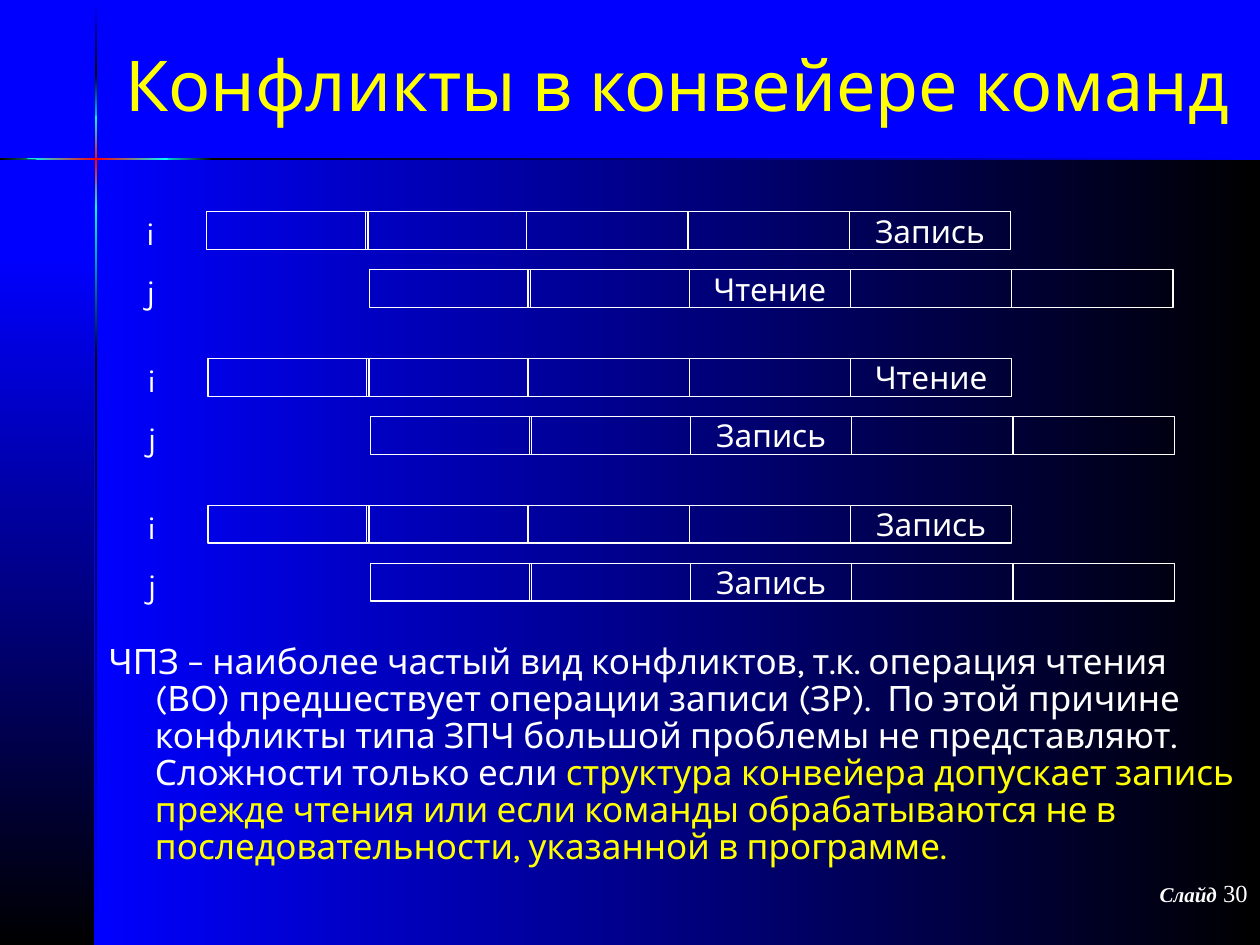
from copy import deepcopy

from lxml import etree
from pptx import Presentation
from pptx.dml.color import RGBColor
from pptx.enum.shapes import MSO_SHAPE
from pptx.enum.text import MSO_ANCHOR, MSO_AUTO_SIZE, PP_ALIGN
from pptx.oxml.ns import qn
from pptx.util import Inches, Pt

RECTANGLE = MSO_SHAPE.RECTANGLE
MIDDLE, TOP = MSO_ANCHOR.MIDDLE, MSO_ANCHOR.TOP
FIXED, GROW = MSO_AUTO_SIZE.NONE, MSO_AUTO_SIZE.SHAPE_TO_FIT_TEXT
LEFT, CENTER, RIGHT = PP_ALIGN.LEFT, PP_ALIGN.CENTER, PP_ALIGN.RIGHT

COLORS = {"blue": "0000FF", "black": "000000", "cyan": "00FFFF",
          "red": "FF0000", "yellow": "FFFF00", "white": "FFFFFF"}

TITLE = "Конфликты в конвейере команд"
EXPLANATION = [
    ("ЧПЗ – наиболее частый вид конфликтов, т.к. операция чтения (ВО) "
     "предшествует операции записи (ЗР).  По этой причине конфликты типа ЗПЧ "
     "большой проблемы не представляют. Сложности только если ", "white"),
    ("структура конвейера допускает запись прежде чтения или если команды "
     "обрабатываются не в последовательности, указанной в программе.", "yellow"),
]
CONFLICTS = [
    (1.64, "Запись", "Чтение"),
    (1.65, "Чтение", "Запись"),
    (1.65, "Запись", "Запись"),
]
FOOTER = [("Слайд", {"size": Pt(12), "bold": True, "italic": True}),
          (" 30", {"size": Pt(14), "bold": False, "italic": False})]

DOWN, LEFTWARD = 270, 180
BANDS = [
    (0.75, 1.25, 9.25, 6.25, ("black", "blue"), LEFTWARD),
    (0, 2.02, 0.75, 5.48, ("blue", "black"), DOWN),
    (0.75, 0.01, 0.02, 0.57, ("blue", "black"), DOWN),
    (0.75, 2.82, 0.02, 4.68, ("black", "blue"), DOWN),
    (0.75, 1.63, 0.02, 1.22, ("cyan", "black"), DOWN),
    (0.75, 0.58, 0.02, 0.44, ("black", "cyan"), DOWN),
    (0.75, 0.92, 0.02, 0.73, ("cyan", "red", "cyan"), DOWN),
    (0, 1.25, 0.61, 0.02, ("cyan", "black"), LEFTWARD),
    (1.67, 1.25, 8.33, 0.02, ("blue", "black"), LEFTWARD),
    (1.25, 1.25, 0.44, 0.02, ("black", "cyan"), LEFTWARD),
]
GLINT = [(0.21, 1.26), (0.6, 1.27), (1.33, 1.27), (1.33, 1.25), (0.6, 1.25)]

FIRST_ROW, CONFLICT_STEP, ROW_STEP = 1.68, 1.165, 0.46
STAGE_LEFTS = [0, 1.26, 2.54, 3.82, 5.1]
STAGE_WIDTH, STAGE_HEIGHT, STAGE_DELAY = 1.28, 0.3, 1.29
ROWS = [("i", 0.25, 4), ("j", 0.27, 2)]


def rgb(name):
    return RGBColor.from_string(COLORS[name])


def apply(target, values):
    for attribute, value in values.items():
        setattr(target, attribute, value)


def place(shape, *box):
    apply(shape, dict(zip(("left", "top", "width", "height"), map(Inches, box))))


def add_run(paragraph, text, color, **font_values):
    run = paragraph.add_run()
    run.text = text
    apply(run.font, {"name": "Karla", **font_values})
    run.font.color.rgb = rgb(color)


def paint_gradient(shape, colors, angle):
    shape.shadow.inherit = False
    shape.line.fill.background()
    shape.fill.gradient()
    shape.fill.gradient_angle = angle
    stops = shape._element.spPr.find(qn("a:gradFill")).find(qn("a:gsLst"))
    while len(stops) < len(colors):
        stops.append(deepcopy(stops[-1]))
    for index, (stop, color) in enumerate(zip(shape.fill.gradient_stops, colors)):
        stop.position = index / (len(colors) - 1)
        stop.color.rgb = rgb(color)


def add_stage(group, left, top, operation):
    stage = group.shapes.add_shape(
        RECTANGLE, *map(Inches, (left, top, STAGE_WIDTH, STAGE_HEIGHT)))
    stage.shadow.inherit = False
    stage.fill.background()
    stage.line.color.rgb = rgb("white")
    stage.line.width = Pt(0.75)
    if operation:
        apply(stage.text_frame, {"word_wrap": False, "vertical_anchor": MIDDLE})
        paragraph = stage.text_frame.paragraphs[0]
        paragraph.alignment = CENTER
        add_run(paragraph, operation, "white", size=Pt(18))


def add_conflict(slide, left, top, operations):
    group = slide.shapes.add_group_shape()
    for row, ((label, label_width, active), operation) in enumerate(zip(ROWS, operations)):
        row_top = top + row * ROW_STEP
        for index, offset in enumerate(STAGE_LEFTS):
            add_stage(group, left + row * STAGE_DELAY + offset, row_top,
                      operation if index == active else None)
        command = group.shapes.add_textbox(
            *map(Inches, (left - 0.58, row_top - 0.03, label_width, 0.4)))
        apply(command.text_frame, {"word_wrap": False, "auto_size": GROW})
        add_run(command.text_frame.paragraphs[0], label, "white", size=Pt(18))


def main():
    prs = Presentation()
    apply(prs, {"slide_width": Inches(10), "slide_height": Inches(7.5)})
    slide = prs.slides.add_slide(prs.slide_layouts[1])
    slide.background.fill.solid()
    slide.background.fill.fore_color.rgb = rgb("blue")

    for *box, colors, angle in BANDS:
        band = slide.shapes.add_shape(RECTANGLE, *map(Inches, box))
        paint_gradient(band, colors, angle)
    start, *corners = [(Inches(x), Inches(y)) for x, y in GLINT]
    builder = slide.shapes.build_freeform(*start)
    builder.add_line_segments(corners, close=True)
    paint_gradient(builder.convert_to_shape(), ("cyan", "red", "cyan"), LEFTWARD)

    footer = slide.shapes.add_textbox(*map(Inches, (7.92, 6.92, 2.08, 0.5)))
    footer.text_frame.word_wrap = True
    footer_line = footer.text_frame.paragraphs[0]
    footer_line.alignment = RIGHT
    for text, values in FOOTER:
        add_run(footer_line, text, "white", **{"name": "Times New Roman", **values})

    title, body = slide.placeholders
    for placeholder, box, anchor in (
            (title, (0.75, 0.08, 9.25, 1.17), MIDDLE),
            (body, (0.75, 5.07, 9.25, 2.43), TOP)):
        place(placeholder, *box)
        apply(placeholder.text_frame, {"word_wrap": True, "auto_size": FIXED,
                                       "vertical_anchor": anchor})
        slide.shapes._spTree.append(placeholder._element)

    heading = title.text_frame.paragraphs[0]
    heading.alignment = CENTER
    add_run(heading, TITLE, "yellow", size=Pt(40))

    explanation = body.text_frame.paragraphs[0]
    apply(explanation, {"alignment": LEFT, "space_before": Pt(5), "line_spacing": 0.88})
    properties = explanation._p.get_or_add_pPr()
    properties.set("marL", str(Inches(0.38)))
    properties.set("indent", str(Inches(-0.37)))
    etree.SubElement(properties, qn("a:buNone"))
    for text, color in EXPLANATION:
        add_run(explanation, text, color, size=Pt(20))

    for index, (left, *operations) in enumerate(CONFLICTS):
        add_conflict(slide, left, FIRST_ROW + index * CONFLICT_STEP, operations)

    prs.save("out.pptx")


if __name__ == "__main__":
    main()
